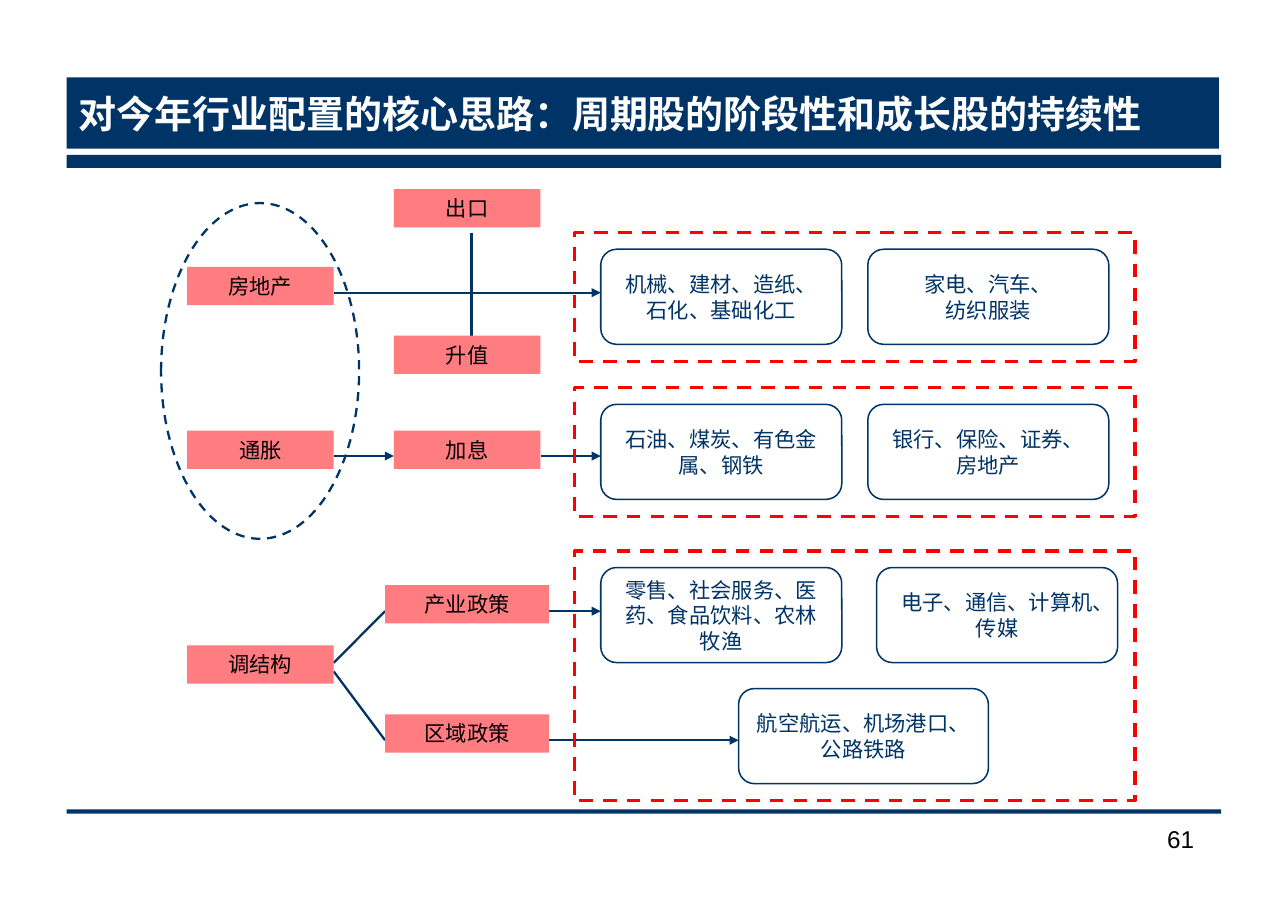
from lxml.etree import SubElement
from pptx import Presentation
from pptx.dml.color import RGBColor
from pptx.enum.dml import MSO_LINE
from pptx.enum.shapes import MSO_CONNECTOR, MSO_SHAPE
from pptx.enum.text import MSO_ANCHOR, MSO_AUTO_SIZE, PP_ALIGN
from pptx.oxml.ns import qn
from pptx.util import Pt

NAVY = RGBColor(0x00, 0x33, 0x66)
PINK = RGBColor(0xFF, 0x7C, 0x80)
RED = RGBColor(0xFF, 0x00, 0x00)
WHITE = RGBColor(0xFF, 0xFF, 0xFF)
BLACK = RGBColor(0x00, 0x00, 0x00)

FRAME = {"margin_left": Pt(8), "margin_right": Pt(8), "margin_top": Pt(4),
         "margin_bottom": Pt(4), "word_wrap": True,
         "auto_size": MSO_AUTO_SIZE.NONE}
TITLE_FONT = {"name": "Arial", "size": Pt(25), "bold": True}
BODY_FONT = {"name": "Arial", "size": Pt(14)}
PAGE_FONT = {"name": "Arial", "size": Pt(16)}

LABEL_H, BOX_H = 25.2, 62.6
LEFT_X, MID_X, POLICY_X = 123.1, 259.2, 253.4
LEFT_END, MID_END, POLICY_END = 219.6, 355.7, 349.9
BOX_X, BOX_X2, TRANSPORT_X = 395.3, 571, 486
ESTATE_Y, RATE_Y, INDUSTRY_Y, REGION_Y = 192.7, 300.2, 402.3, 487.3

LABELS = [
    ("房地产", LEFT_X, 175.6, 96.5),
    ("通胀", LEFT_X, 283.4, 96.5),
    ("调结构", LEFT_X, 424.8, 96.5),
    ("出口", MID_X, 124.5, 96.5),
    ("升值", MID_X, 220.9, 96.5),
    ("加息", MID_X, 283.4, 96.5),
    ("产业政策", POLICY_X, 385.2, 108),
    ("区域政策", POLICY_X, 470.2, 108),
]
SECTORS = [
    ("机械、建材、造纸、石化、基础化工", BOX_X, 164.1, 158.6),
    ("家电、汽车、\n纺织服装", BOX_X2, 164.1, 158.6),
    ("石油、煤炭、有色金属、钢铁", BOX_X, 266.2, 158.6),
    ("银行、保险、证券、房地产", BOX_X2, 266.2, 158.6),
    ("零售、社会服务、医药、食品饮料、农林牧渔", BOX_X, 373.6, 158.6),
    ("电子、通信、计算机、传媒", 576.8, 373.6, 158.6),
    ("航空航运、机场港口、公路铁路", TRANSPORT_X, 453.3, 164.4),
]
GROUPS = [(153.1, 85), (254.9, 85), (362.6, 164.4)]
ARROWS = [
    (LEFT_END, BOX_X, ESTATE_Y),
    (LEFT_END, MID_X, RATE_Y),
    (MID_END, BOX_X, RATE_Y),
    (POLICY_END, BOX_X, INDUSTRY_Y),
    (POLICY_END, TRANSPORT_X, REGION_Y),
]
BRANCHES = [
    (LEFT_END, 436.3, POLICY_X, INDUSTRY_Y),
    (LEFT_END, 442, POLICY_X, REGION_Y),
]


def set_attrs(obj, values):
    for name, value in values.items():
        setattr(obj, name, value)


def write(sp, text, font, color, align, anchor=MSO_ANCHOR.MIDDLE):
    tf = sp.text_frame
    set_attrs(tf, FRAME)
    tf.vertical_anchor = anchor
    tf.text = text
    for p in tf.paragraphs:
        p.alignment = align
        for r in p.runs:
            set_attrs(r.font, font)
            r.font.color.rgb = color


def add_box(slide, kind, x, y, w, h, fill=None, line=None, width=1, dash=None):
    sp = slide.shapes.add_shape(kind, Pt(x), Pt(y), Pt(w), Pt(h))
    sp.shadow.inherit = False
    if fill is None:
        sp.fill.background()
    else:
        sp.fill.solid()
        sp.fill.fore_color.rgb = fill
    if line is None:
        sp.line.fill.background()
    else:
        sp.line.color.rgb = line
        set_attrs(sp.line, {"width": Pt(width), "dash_style": dash})
    return sp


def add_line(slide, x1, y1, x2, y2, width=1.5, arrow=False):
    sp = slide.shapes.add_connector(
        MSO_CONNECTOR.STRAIGHT, Pt(x1), Pt(y1), Pt(x2), Pt(y2))
    sp.line.color.rgb = NAVY
    sp.line.width = Pt(width)
    if arrow:
        ln = sp._element.spPr.find(qn("a:ln"))
        SubElement(ln, qn("a:tailEnd"), type="triangle")
    SubElement(sp._element.spPr, qn("a:effectLst"))


def add_title(slide, text):
    sp = slide.shapes.title
    set_attrs(sp, {"left": Pt(43.9), "top": Pt(51),
                   "width": Pt(758.2), "height": Pt(46.8)})
    sp.fill.solid()
    sp.fill.fore_color.rgb = NAVY
    write(sp, text, TITLE_FONT, WHITE, PP_ALIGN.LEFT)


def add_page_number(slide, text):
    sp = slide.shapes.add_textbox(Pt(729.8), Pt(538.4), Pt(64), Pt(41.8))
    write(sp, text, PAGE_FONT, BLACK, PP_ALIGN.RIGHT, MSO_ANCHOR.TOP)


def main():
    prs = Presentation()
    prs.slide_width = Pt(847.5)
    prs.slide_height = Pt(601)
    slide = prs.slides.add_slide(prs.slide_layouts[5])

    for y, h in [(102, 8.6), (532.8, 2.9)]:
        add_box(slide, MSO_SHAPE.RECTANGLE, 43.9, y, 759.6, h, fill=NAVY)
    add_title(slide, "对今年行业配置的核心思路：周期股的阶段性和成长股的持续性")

    for text, x, y, w in SECTORS:
        sp = add_box(slide, MSO_SHAPE.ROUNDED_RECTANGLE, x, y, w, BOX_H, line=NAVY)
        write(sp, text, BODY_FONT, NAVY, PP_ALIGN.CENTER)

    for x1, x2, y in ARROWS:
        add_line(slide, x1, y, x2, y, arrow=True)
    for branch in BRANCHES:
        add_line(slide, *branch)
    add_line(slide, 310.3, 153.1, 310.3, 220.9, width=2.25)

    for y, h in GROUPS:
        add_box(slide, MSO_SHAPE.RECTANGLE, 378.2, y, 368.6, h,
                line=RED, width=2.25, dash=MSO_LINE.DASH)
    for text, x, y, w in LABELS:
        sp = add_box(slide, MSO_SHAPE.RECTANGLE, x, y, w, LABEL_H, fill=PINK)
        write(sp, text, BODY_FONT, BLACK, PP_ALIGN.CENTER)
    add_box(slide, MSO_SHAPE.OVAL, 106, 133.7, 130.3, 221,
            line=NAVY, width=1.5, dash=MSO_LINE.DASH)
    add_page_number(slide, "61")
    prs.save("out.pptx")


if __name__ == "__main__":
    main()
